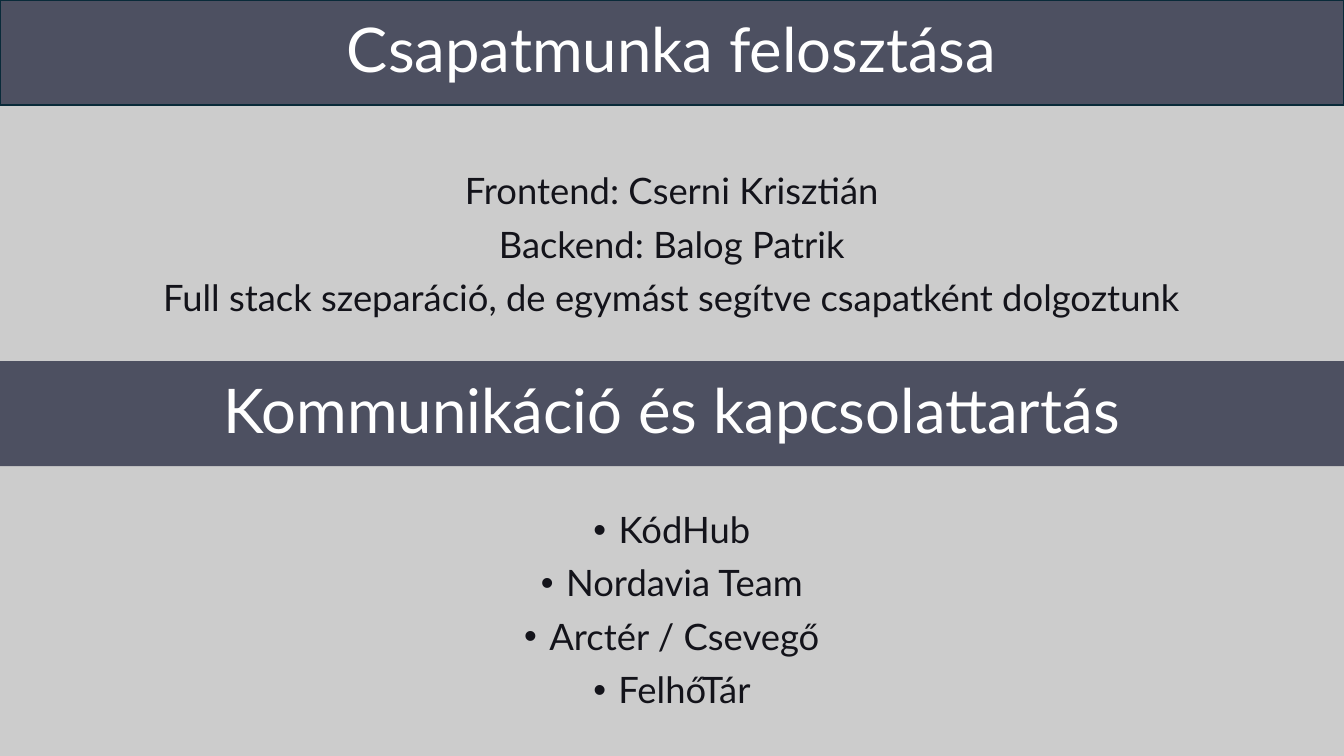
from lxml.etree import SubElement
from pptx import Presentation
from pptx.dml.color import RGBColor
from pptx.enum.shapes import MSO_SHAPE
from pptx.enum.text import MSO_ANCHOR, PP_ALIGN
from pptx.oxml.ns import qn
from pptx.util import Pt

THEME = {
    "background": RGBColor.from_string("CCCCCC"),
    "band": RGBColor.from_string("4D5061"),
    "outline": RGBColor.from_string("092A39"),
    "heading": {"size": Pt(44), "color": RGBColor.from_string("FFFFFF")},
    "body": {"size": Pt(26), "color": RGBColor.from_string("13131A")},
    "font": "Lato",
}
PAGE_WIDTH, BAND_HEIGHT = 960, 75
TEXT_LEFT, TEXT_WIDTH = 66, 828
BULLET_INDENT = 18

deck = Presentation()
deck.slide_width, deck.slide_height = Pt(PAGE_WIDTH), Pt(540)
page = deck.slides.add_slide(deck.slide_layouts[6])
page.background.fill.solid()
page.background.fill.fore_color.rgb = THEME["background"]


def add_lines(top, height, lines, style, bulleted=False):
    box = page.shapes.add_textbox(Pt(TEXT_LEFT), Pt(top), Pt(TEXT_WIDTH), Pt(height))
    frame = box.text_frame
    frame.word_wrap = True
    frame.vertical_anchor = MSO_ANCHOR.MIDDLE
    for index, line in enumerate(lines):
        para = frame.add_paragraph() if index else frame.paragraphs[0]
        layout = {
            "alignment": PP_ALIGN.CENTER,
            "line_spacing": 0.9,
            "space_before": Pt(10 if index else 0),
        }
        for name, value in layout.items():
            setattr(para, name, value)
        if bulleted:
            properties = para._p.get_or_add_pPr()
            properties.set("marL", str(Pt(BULLET_INDENT)))
            properties.set("indent", str(-Pt(BULLET_INDENT)))
            SubElement(properties, qn("a:buFont")).set("typeface", "Arial")
            SubElement(properties, qn("a:buChar")).set("char", "•")
        span = para.add_run()
        span.text = line
        for name, value in {"name": THEME["font"], "size": style["size"]}.items():
            setattr(span.font, name, value)
        span.font.color.rgb = style["color"]


# Heading bands
headings = [
    (0, "Csapatmunka felosztása", True),
    (258, "Kommunikáció és kapcsolattartás", False),
]
for top, heading, outlined in headings:
    band = page.shapes.add_shape(
        MSO_SHAPE.RECTANGLE, Pt(0), Pt(top), Pt(PAGE_WIDTH), Pt(BAND_HEIGHT))
    band.shadow.inherit = False
    band.fill.solid()
    band.fill.fore_color.rgb = THEME["band"]
    if outlined:
        band.line.color.rgb = THEME["outline"]
        band.line.width = Pt(1.5)
    else:
        band.line.fill.background()
    add_lines(top, BAND_HEIGHT, [heading], THEME["heading"])

# Division of work
add_lines(115, 122, [
    "Frontend: Cserni Krisztián",
    "Backend: Balog Patrik",
    "Full stack szeparáció, de egymást segítve csapatként dolgoztunk",
], THEME["body"])

# Communication channels
add_lines(354, 166, [
    "KódHub",
    "Nordavia Team",
    "Arctér / Csevegő",
    "FelhőTár",
], THEME["body"], bulleted=True)

deck.save("out.pptx")
